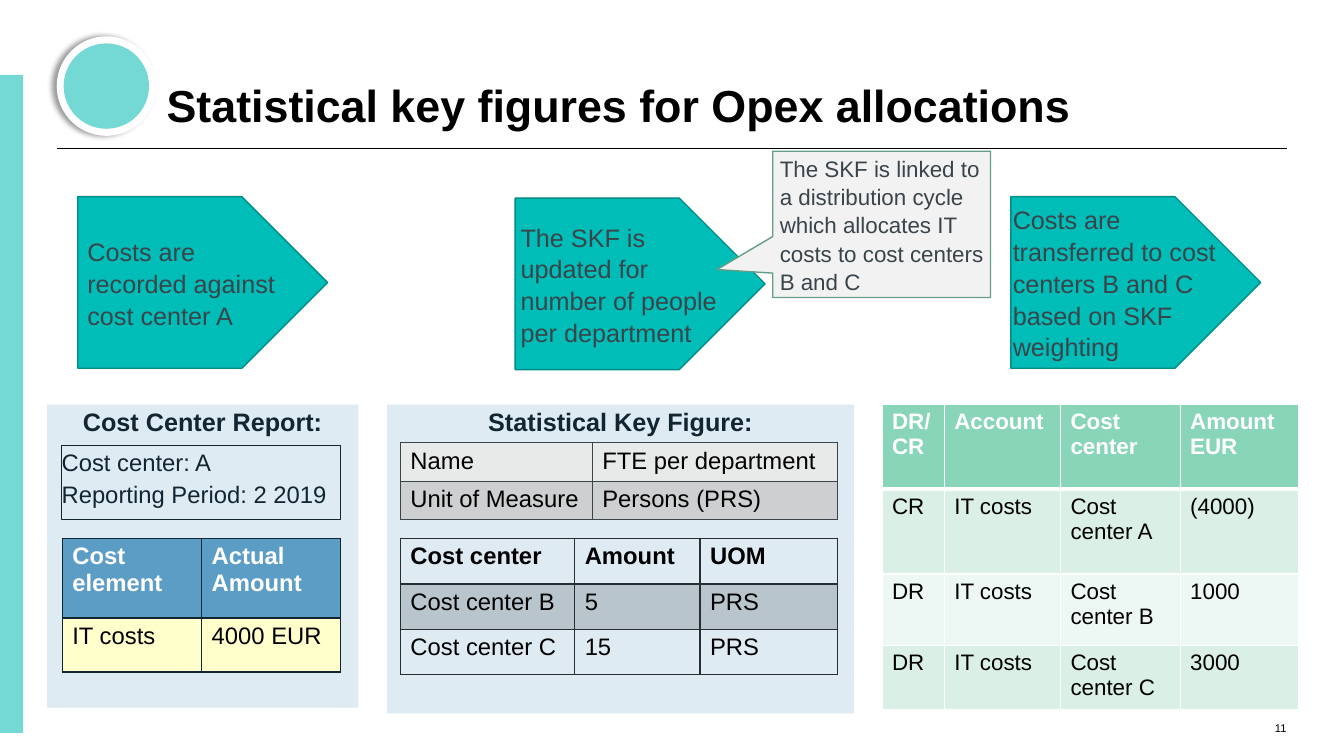
import pptx
import pptx.util
import pptx.dml.color
import pptx.enum.shapes
import pptx.enum.text
import pptx.oxml
import pptx.oxml.ns
from lxml import etree

Pt = pptx.util.Pt
SHAPE = pptx.enum.shapes.MSO_SHAPE
ANCHOR = pptx.enum.text.MSO_ANCHOR
ALIGN = pptx.enum.text.PP_ALIGN
qn = pptx.oxml.ns.qn
color = pptx.dml.color.RGBColor.from_string


def write(frame, text, size=18, ink="000000", bold=False, align=ALIGN.LEFT,
          anchor=ANCHOR.TOP, spacing=1.0, inset=0):
    frame.word_wrap = True
    frame.vertical_anchor = anchor
    if inset is not None:
        frame.margin_left = frame.margin_right = Pt(inset)
        frame.margin_top = frame.margin_bottom = Pt(inset)
    for index, line in enumerate(text.split("\n")):
        para = frame.paragraphs[0] if index == 0 else frame.add_paragraph()
        para.alignment = align
        para.line_spacing = spacing
        span = para.add_run()
        span.text = line
        span.font.name = "Arial"
        span.font.size = Pt(size)
        span.font.bold = bold
        span.font.color.rgb = color(ink)


def add_box(kind, left, top, width, height, fill=None, line=None, weight=1):
    box = page.shapes.add_shape(kind, Pt(left), Pt(top), Pt(width), Pt(height))
    box.shadow.inherit = False
    if fill:
        box.fill.solid()
        box.fill.fore_color.rgb = color(fill)
    else:
        box.fill.background()
    if line:
        box.line.color.rgb = color(line)
        box.line.width = Pt(weight)
    else:
        box.line.fill.background()
    return box


deck = pptx.Presentation()
deck.slide_width, deck.slide_height = Pt(960), Pt(540)
page = deck.slides.add_slide(deck.slide_layouts[5])

# Rule, side bar and round badge
rule = page.shapes.add_connector(
    pptx.enum.shapes.MSO_CONNECTOR.STRAIGHT, Pt(40.5), Pt(106), Pt(919.5), Pt(106))
rule.line.color.rgb = color("000000")
rule.line.width = Pt(0.75)
etree.SubElement(rule._element.spPr, qn("a:effectLst"))
add_box(SHAPE.RECTANGLE, 0, 53.5, 16.5, 470, "74D9D5")
badge = add_box(SHAPE.OVAL, 40.5, 26, 71, 71, "FFFFFF")
effects = badge._element.spPr.find(qn("a:effectLst"))
shadow = etree.SubElement(effects, qn("a:outerShdw"), blurRad=str(Pt(4)),
                          dist=str(Pt(3)), dir="10800000", algn="r", rotWithShape="0")
shade = etree.SubElement(shadow, qn("a:srgbClr"), val="000000")
etree.SubElement(shade, qn("a:alpha"), val="40000")
add_box(SHAPE.OVAL, 45.5, 31, 61, 61, "74D9D5")

# Title and page number
title = page.shapes.title
title.left, title.top, title.width, title.height = Pt(119), Pt(16.5), Pt(701), Pt(78)
title.text_frame.auto_size = pptx.enum.text.MSO_AUTO_SIZE.NONE
write(title.text_frame, "Statistical key figures for Opex allocations",
      size=32, bold=True, anchor=ANCHOR.BOTTOM, spacing=0.9)
number = page.shapes.add_textbox(Pt(888), Pt(496), Pt(31), Pt(29))
write(number.text_frame, "11", size=8, align=ALIGN.RIGHT, anchor=ANCHOR.BOTTOM)

# Process steps, then the callout, with the text block centred in each
steps = [
    (55.5, 140.5, "Costs are recorded against cost center A"),
    (368, 141.5, "The SKF is updated for number of people per department"),
    (722, 140.5, "Costs are transferred to cost centers B and C based on SKF weighting"),
]
notes = []
for left, top, text in steps:
    arrow = add_box(SHAPE.PENTAGON, left, top, 178.5, 122.5, "00BDB7", "008C87")
    notes.append((arrow, text, 18))
callout = add_box(SHAPE.RECTANGULAR_CALLOUT, 552, 108, 155.5, 104.5, "F2F2F2", "659E88")
callout.adjustments[0], callout.adjustments[1] = -0.756, 0.309
notes.append((callout, "The SKF is linked to a distribution cycle which allocates "
              "IT costs to cost centers B and C", 16))
for box, text, size in notes:
    write(box.text_frame, text, size=size, ink="39454B", anchor=ANCHOR.MIDDLE, spacing=1.05)
    box.text_frame._txBody.bodyPr.set("anchorCtr", "1")

# Panels
for left, width, height, heading in [
    (33.5, 222.5, 216.5, "Cost Center Report:"),
    (276.5, 333.5, 220.5, "Statistical Key Figure:"),
]:
    panel = add_box(SHAPE.RECTANGLE, left, 289, width, height, "DEEBF3")
    write(panel.text_frame, heading, ink="122632", bold=True, align=ALIGN.CENTER, spacing=1.05)
report = add_box(SHAPE.RECTANGLE, 44, 318, 199.5, 53, None, "122632", 0.75)
write(report.text_frame, "Cost center: A\nReporting Period: 2 2019",
      size=17, ink="122632", spacing=1.1)

# Tables: one fill per row; "rules" holds the line weight above each row and below the last
tables = [
    dict(left=44.5, top=384.5, columns=[99.5, 99.5], heights=[57, 38.5],
         size=17, header="FFFFFF", border="122632", rules=[1, 1, 1],
         fills=["5C9DC5", "FFFFCC"],
         rows=[["Cost element", "Actual Amount"], ["IT costs", "4000 EUR"]]),
    dict(left=286, top=316, columns=[137, 175.5], heights=[26.5, 26.5],
         size=17, header=None, border="39454B", rules=[1, 1, 1],
         fills=["E8E9E9", "CECFD0"],
         rows=[["Name", "FTE per department"], ["Unit of Measure", "Persons (PRS)"]]),
    dict(left=286, top=384.5, columns=[124.5, 89.5, 98], heights=[32.5, 32.5, 32.5],
         size=17, header="000000", border="262E32", rules=[1, 2, 1, 1],
         fills=[None, "262E32", None], alpha="20000",
         rows=[["Cost center", "Amount", "UOM"],
               ["Cost center B", "5", "PRS"],
               ["Cost center C", "15", "PRS"]]),
    dict(left=630, top=289, columns=[44.5, 83, 85.5, 84.5], heights=[60.5, 60.5, 51, 43.5],
         size=16, header="FFFFFF", border="FFFFFF", rules=[1, 3, 1, 1, 1],
         fills=["88D5B8", "DAEFE6", "EDF7F3", "DAEFE6"],
         rows=[["DR/CR", "Account", "Cost center", "Amount\nEUR"],
               ["CR", "IT costs", "Cost center A", "(4000)"],
               ["DR", "IT costs", "Cost center B", "1000"],
               ["DR", "IT costs", "Cost center C", "3000"]]),
]
for plan in tables:
    grid = page.shapes.add_table(
        len(plan["heights"]), len(plan["columns"]), Pt(plan["left"]), Pt(plan["top"]),
        Pt(sum(plan["columns"])), Pt(sum(plan["heights"]))).table
    grid.first_row = grid.horz_banding = False
    for column, width in zip(grid.columns, plan["columns"]):
        column.width = Pt(width)
    for r, (texts, fill) in enumerate(zip(plan["rows"], plan["fills"])):
        grid.rows[r].height = Pt(plan["heights"][r])
        heading = r == 0 and plan["header"] is not None
        for c, text in enumerate(texts):
            cell = grid.cell(r, c)
            write(cell.text_frame, text, size=plan["size"], bold=heading, inset=None,
                  ink=plan["header"] if heading else "000000")
            properties = cell._tc.get_or_add_tcPr()
            weights = dict(L=1, R=1, T=plan["rules"][r], B=plan["rules"][r + 1])
            for side, weight in weights.items():
                edge = etree.SubElement(properties, qn("a:ln" + side), w=str(Pt(weight)))
                paint = etree.SubElement(edge, qn("a:solidFill"))
                etree.SubElement(paint, qn("a:srgbClr"), val=plan["border"])
            if fill is None:
                cell.fill.background()
                continue
            cell.fill.solid()
            cell.fill.fore_color.rgb = color(fill)
            if "alpha" in plan:
                tint = properties.find(qn("a:solidFill")).find(qn("a:srgbClr"))
                etree.SubElement(tint, qn("a:alpha"), val=plan["alpha"])

deck.save("out.pptx")
